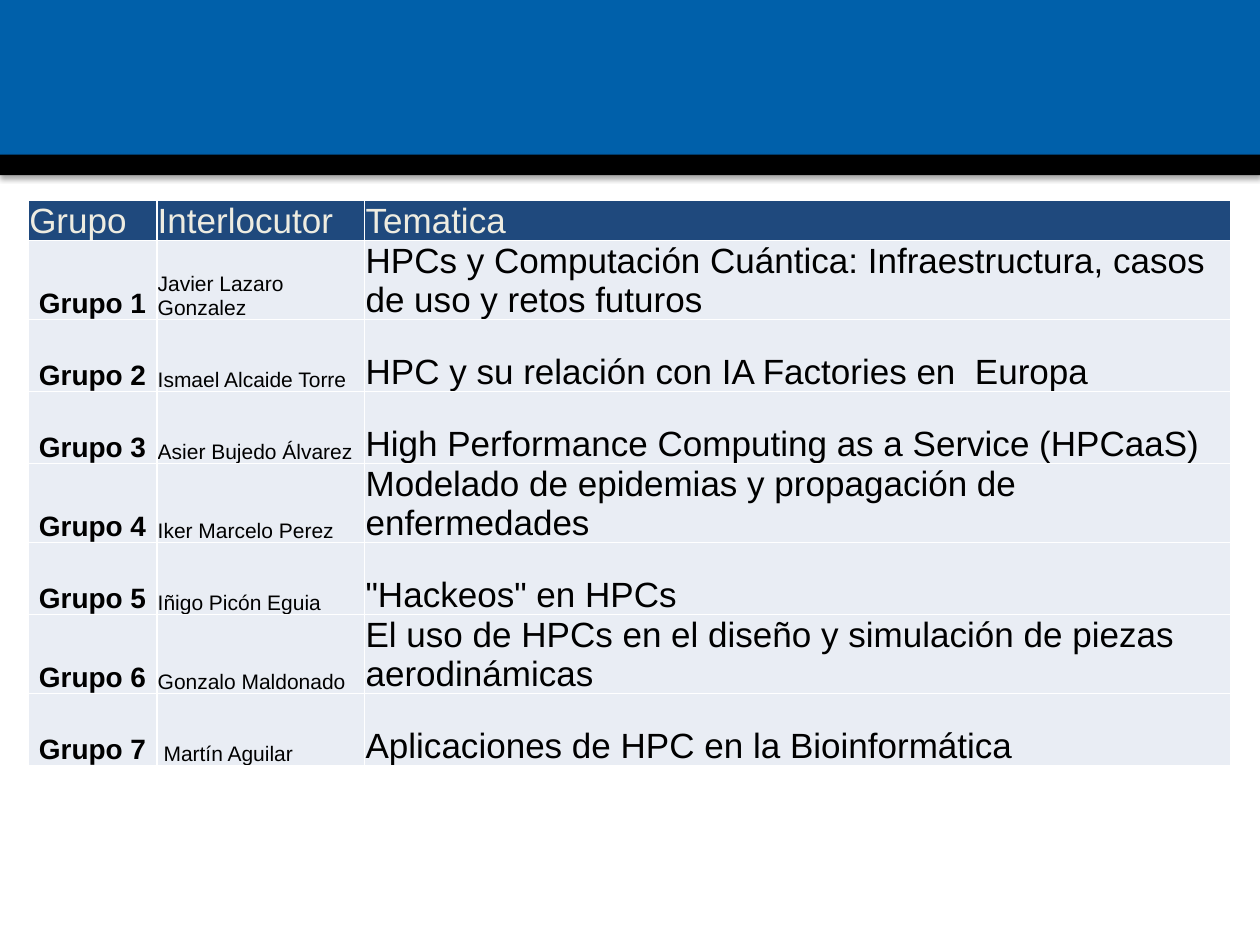
from lxml.etree import SubElement
from pptx import Presentation
from pptx.dml.color import RGBColor
from pptx.enum.shapes import MSO_SHAPE as Shape
from pptx.enum.text import MSO_ANCHOR as Anchor, PP_ALIGN as Align
from pptx.oxml.ns import qn
from pptx.util import Cm, Pt

BLUE = RGBColor(0x00, 0x60, 0xAA)
BLACK = RGBColor(0x00, 0x00, 0x00)
WHITE = RGBColor(0xFF, 0xFF, 0xFF)
NAVY = RGBColor(0x1F, 0x49, 0x7D)
CREAM = RGBColor(0xEE, 0xEC, 0xE1)
PALE = RGBColor(0xE9, 0xED, 0xF4)

HEADINGS = ["Grupo", "Interlocutor", "Tematica"]
GROUPS = [
    ("Javier Lazaro Gonzalez",
     "HPCs y Computación Cuántica: Infraestructura, casos de uso y retos futuros"),
    ("Ismael Alcaide Torre", "HPC y su relación con IA Factories en  Europa"),
    ("Asier Bujedo Álvarez", "High Performance Computing as a Service (HPCaaS)"),
    ("Iker Marcelo Perez", "Modelado de epidemias y propagación de enfermedades"),
    ("Iñigo Picón Eguia", '"Hackeos" en HPCs'),
    ("Gonzalo Maldonado",
     "El uso de HPCs en el diseño y simulación de piezas aerodinámicas"),
    (" Martín Aguilar", "Aplicaciones de HPC en la Bioinformática"),
]
COLUMN_WIDTHS = [Cm(2.59), Cm(4.19), Cm(17.46)]
HEADER_HEIGHT = Cm(0.77)
ROW_HEIGHT = Cm(1.45)


def add_color(parent, color, **settings):
    node = SubElement(parent, qn("a:srgbClr"), val=str(color))
    for name, value in settings.items():
        SubElement(node, qn(f"a:{name}"), val=value)


def add_band(page, top, height, color):
    band = page.shapes.add_shape(Shape.RECTANGLE, 0, top, Cm(25.4), height)
    band.fill.solid()
    band.fill.fore_color.rgb = color
    band.line.fill.background()
    band.shadow.inherit = False
    effects = band.element.spPr.find(qn("a:effectLst"))
    shadow = SubElement(effects, qn("a:outerShdw"), blurRad="40000", dist="23000",
                        dir="5400000", rotWithShape="0")
    add_color(shadow, BLACK, alpha="35000")


def add_borders(cell):
    properties = cell._tc.get_or_add_tcPr()
    for side in ("lnL", "lnR", "lnT", "lnB"):
        line = SubElement(properties, qn(f"a:{side}"), w=str(Pt(1)))
        add_color(SubElement(line, qn("a:solidFill")), WHITE)


def fill_cell(cell, text, size, fill=PALE, color=BLACK, bold=False, align=Align.LEFT):
    cell.vertical_anchor = Anchor.BOTTOM
    cell.margin_left = cell.margin_right = cell.margin_top = Cm(0.02)
    cell.margin_bottom = 0
    add_borders(cell)
    cell.fill.solid()
    cell.fill.fore_color.rgb = fill
    cell.text = text
    para = cell.text_frame.paragraphs[0]
    para.alignment = align
    para.font.name = "Arial"
    para.font.size = Pt(size)
    para.font.bold = bold
    para.font.color.rgb = color


def add_group_table(page):
    height = HEADER_HEIGHT + ROW_HEIGHT * len(GROUPS)
    table = page.shapes.add_table(len(GROUPS) + 1, len(HEADINGS), Cm(0.57), Cm(4.04),
                                  sum(COLUMN_WIDTHS), height).table
    for column, width in zip(table.columns, COLUMN_WIDTHS):
        column.width = width
    for row in table.rows:
        row.height = ROW_HEIGHT
    table.rows[0].height = HEADER_HEIGHT
    for index, heading in enumerate(HEADINGS):
        fill_cell(table.cell(0, index), heading, 20, NAVY, CREAM)
    for number, (speaker, topic) in enumerate(GROUPS, start=1):
        fill_cell(table.cell(number, 0), f"Grupo {number}", 16, bold=True,
                  align=Align.CENTER)
        fill_cell(table.cell(number, 1), speaker, 12)
        fill_cell(table.cell(number, 2), topic, 20)


def main():
    deck = Presentation()
    deck.slide_width, deck.slide_height = Cm(25.4), Cm(19.05)
    page = deck.slides.add_slide(deck.slide_layouts[6])
    add_band(page, 0, Cm(3.33), BLUE)
    add_band(page, Cm(3.12), Cm(0.41), BLACK)
    add_group_table(page)
    deck.save("out.pptx")


if __name__ == "__main__":
    main()
